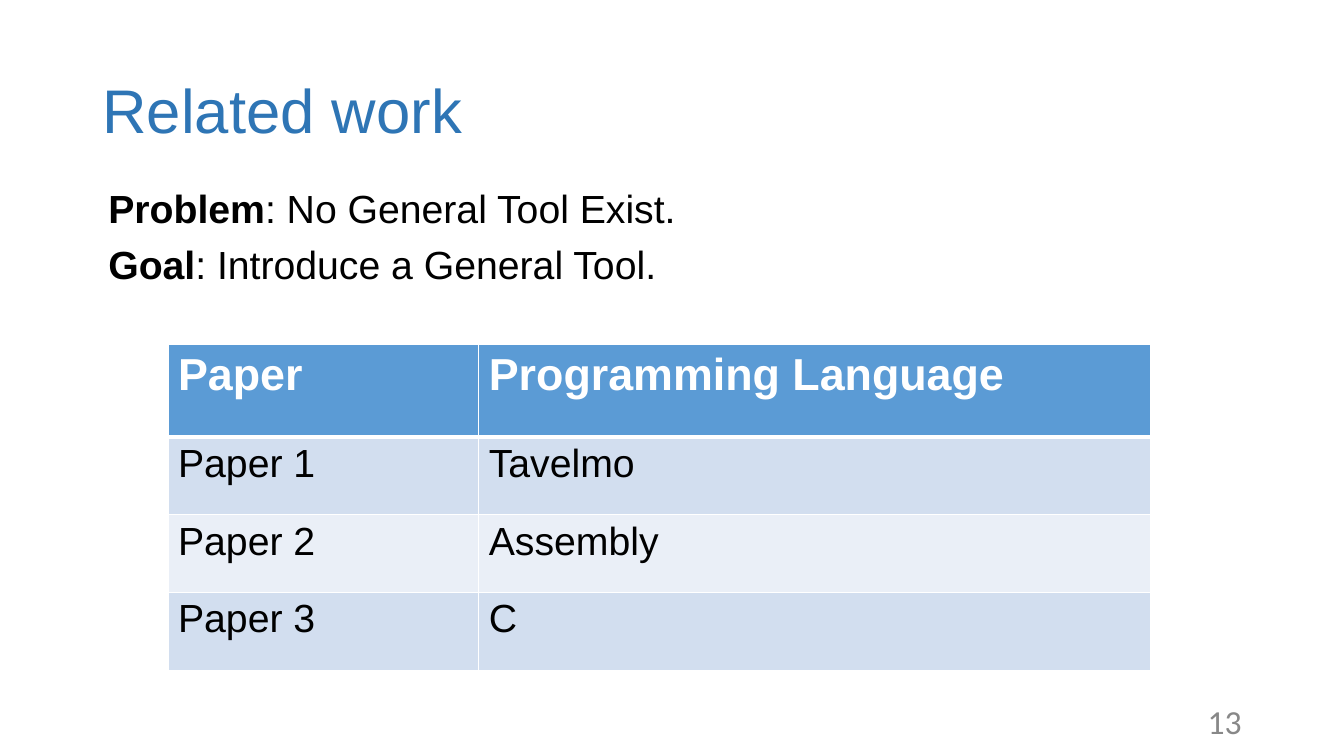
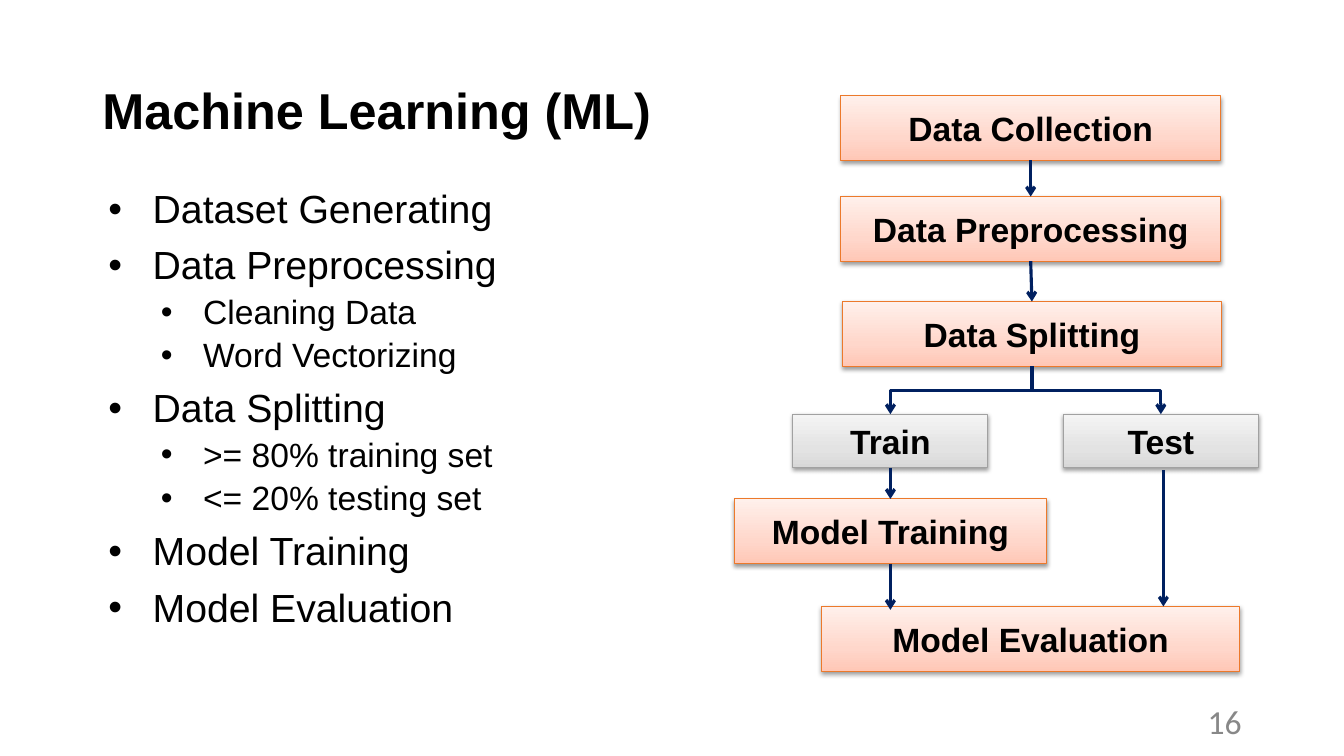
from dataclasses import dataclass

from lxml import etree
from pptx import Presentation
from pptx.dml.color import RGBColor
from pptx.enum.shapes import MSO_CONNECTOR, MSO_SHAPE
from pptx.enum.text import MSO_ANCHOR, MSO_AUTO_SIZE, PP_ALIGN
from pptx.oxml.ns import qn
from pptx.util import Inches, Pt

STRAIGHT, ELBOW = MSO_CONNECTOR.STRAIGHT, MSO_CONNECTOR.ELBOW
PROCESS = MSO_SHAPE.FLOWCHART_PROCESS
MIDDLE, TOP_ANCHOR = MSO_ANCHOR.MIDDLE, MSO_ANCHOR.TOP
LEFT, CENTER, RIGHT = PP_ALIGN.LEFT, PP_ALIGN.CENTER, PP_ALIGN.RIGHT
TOP_SIDE, BOTTOM_SIDE = 0, 2
TITLE_ONLY = 5

SLIDE_WIDTH, SLIDE_HEIGHT = Inches(13.33), Inches(7.5)
COLUMNS, ROWS = 160, 90  # square grid cells across the slide


@dataclass(frozen=True)
class BoxStyle:
    line: str
    stops: tuple  # (position in percent, colour), from bottom to top


@dataclass(frozen=True)
class Theme:
    font: str = "Arial"
    number_font: str = "Calibri"
    black: str = "000000"
    white: str = "FFFFFF"
    blue: str = "2E75B5"
    grey: str = "888888"
    arrow: str = "002060"
    header: str = "5B9BD5"
    bands: tuple = ("D2DEEF", "EAEFF7")
    title_size: int = 44
    bold_title_size: int = 36
    header_size: int = 32
    body_size: int = 28
    small_size: int = 24
    step: BoxStyle = BoxStyle(
        "EC792B", ((0, "FFC7B6"), (35, "FFD7CB"), (100, "FFF0EB")))
    dataset: BoxStyle = BoxStyle(
        "A1A1A1", ((0, "D8D8D8"), (35, "E3E3E3"), (100, "F4F4F4")))


THEME = Theme()


# Grid and text helpers
def across(columns):
    return round(SLIDE_WIDTH * columns / COLUMNS)


def down(rows):
    return round(SLIDE_HEIGHT * rows / ROWS)


def area(left, top, width, height):
    return across(left), down(top), across(width), down(height)


def add_child(parent, tag, **attributes):
    return etree.SubElement(parent, qn(tag), {k: str(v) for k, v in attributes.items()})


def add_run(paragraph, text, size, color=THEME.black, bold=False, font=THEME.font):
    run = paragraph.add_run()
    run.text = text
    run.font.name, run.font.size, run.font.bold = font, Pt(size), bold
    run.font.color.rgb = RGBColor.from_string(color)


def prepare_frame(shape, anchor):
    frame = shape.text_frame
    frame.word_wrap = True
    frame.auto_size = MSO_AUTO_SIZE.NONE
    frame.vertical_anchor = anchor
    return frame


def add_text_frame(slide, box, anchor=TOP_ANCHOR):
    return prepare_frame(slide.shapes.add_textbox(*area(*box)), anchor)


# Parts shared by the slides
def add_slide(presentation, title, number, size, color, bold=False):
    slide = presentation.slides.add_slide(presentation.slide_layouts[TITLE_ONLY])
    placeholder = slide.shapes.title
    (placeholder.left, placeholder.top,
     placeholder.width, placeholder.height) = area(11, 4.8, 138, 17.4)
    paragraph = prepare_frame(placeholder, MIDDLE).paragraphs[0]
    paragraph.alignment, paragraph.line_spacing = LEFT, 0.9
    add_run(paragraph, title, size, color, bold)

    paragraph = add_text_frame(slide, (113, 83.4, 36, 4.8), MIDDLE).paragraphs[0]
    paragraph.alignment = RIGHT
    add_run(paragraph, number, THEME.small_size, THEME.grey, font=THEME.number_font)
    return slide


def body_paragraph(frame, index, margin, indent=0, level=0):
    paragraph = frame.add_paragraph() if index else frame.paragraphs[0]
    paragraph.level, paragraph.line_spacing = level, 0.9
    paragraph.space_before = Pt(5 if level else 10)
    properties = paragraph._p.get_or_add_pPr()
    properties.set("marL", str(Inches(margin)))
    properties.set("indent", str(Inches(indent)))
    return paragraph


def add_statements(slide, box, statements):
    frame = add_text_frame(slide, box)
    for index, (label, text) in enumerate(statements):
        paragraph = body_paragraph(frame, index, 0.06)
        add_run(paragraph, label, THEME.body_size, bold=True)
        add_run(paragraph, text, THEME.body_size)


def add_bullets(slide, box, items):
    frame = add_text_frame(slide, box)
    for index, (level, text) in enumerate(items):
        margin, indent, size = ((0.5, -0.44, THEME.body_size),
                                (1, -0.42, THEME.small_size))[level]
        paragraph = body_paragraph(frame, index, margin, indent, level)
        properties = paragraph._p.get_or_add_pPr()
        add_child(properties, "a:buFont", typeface=THEME.font)
        add_child(properties, "a:buChar", char="•")
        add_run(paragraph, text, size)


# Table
def set_borders(cell, row):
    widths = {"a:lnL": 1, "a:lnR": 1,
              "a:lnT": 3 if row == 1 else 1, "a:lnB": 3 if row == 0 else 1}
    properties = cell._tc.get_or_add_tcPr()
    for tag, width in widths.items():
        line = add_child(properties, tag, w=Pt(width))
        add_child(add_child(line, "a:solidFill"), "a:srgbClr", val=THEME.white)


def add_grid_table(slide, left, top, widths, heights, content):
    table = slide.shapes.add_table(
        len(heights), len(widths),
        *area(left, top, sum(widths), sum(heights))).table
    for column, width in zip(table.columns, widths):
        column.width = across(width)
    for index, (row, height, texts) in enumerate(zip(table.rows, heights, content)):
        row.height = down(height)
        header = index == 0
        fill = THEME.header if header else THEME.bands[(index - 1) % 2]
        for cell, text in zip(row.cells, texts):
            set_borders(cell, index)
            cell.fill.solid()
            cell.fill.fore_color.rgb = RGBColor.from_string(fill)
            add_run(cell.text_frame.paragraphs[0], text,
                    THEME.header_size if header else THEME.body_size,
                    THEME.white if header else THEME.black, header)


# Flow chart
def add_box(slide, text, center, top, width, height=7.7, style=THEME.step):
    shape = slide.shapes.add_shape(
        PROCESS, *area(center - width / 2, top, width, height))
    shape.fill.gradient()
    shape.fill.gradient_angle = 90
    properties = shape._element.spPr
    stops = properties.find(".//" + qn("a:gsLst"))
    for stop in list(stops):
        stops.remove(stop)
    for position, color in style.stops:
        add_child(add_child(stops, "a:gs", pos=position * 1000), "a:srgbClr", val=color)
    shape.line.color.rgb = RGBColor.from_string(style.line)
    shape.line.width = Pt(0.75)

    # Soft shadow below the box
    shape.shadow.inherit = False
    shadow = add_child(properties.find(qn("a:effectLst")), "a:outerShdw",
                       blurRad=Pt(3.1), dist=Pt(1.6), dir=5400000, rotWithShape=0)
    add_child(add_child(shadow, "a:srgbClr", val=THEME.black), "a:alpha", val=38000)

    paragraph = prepare_frame(shape, MIDDLE).paragraphs[0]
    paragraph.alignment = CENTER
    add_run(paragraph, text, THEME.small_size, bold=True)
    return shape


def add_arrow(slide, start, end, kind=STRAIGHT):
    """Draw an arrow; each end is a box or a (column, row) point."""
    points = [(across(place[0]), down(place[1])) if isinstance(place, tuple) else (0, 0)
              for place in (start, end)]
    connector = slide.shapes.add_connector(kind, *points[0], *points[1])
    if not isinstance(start, tuple):
        connector.begin_connect(start, BOTTOM_SIDE)
    if not isinstance(end, tuple):
        connector.end_connect(end, TOP_SIDE)
    connector.line.color.rgb = RGBColor.from_string(THEME.arrow)
    connector.line.width = Pt(2.25)
    properties = connector._element.spPr
    add_child(properties.find(qn("a:ln")), "a:tailEnd", type="arrow")
    add_child(properties, "a:effectLst")
    return connector


def add_branch(slide, start, end):
    """Draw an elbow that leaves downwards, turns aside and enters downwards."""
    connector = add_arrow(slide, start, end, ELBOW)
    begin_x, begin_y = start.left + start.width // 2, start.top + start.height
    end_x, end_y = end.left + end.width // 2, end.top
    width, height = end_y - begin_y, abs(end_x - begin_x)
    connector.left = (begin_x + end_x - width) // 2
    connector.top = (begin_y + end_y - height) // 2
    connector.width, connector.height = width, height
    transform = connector._element.spPr.find(qn("a:xfrm"))
    for name in ("flipH", "flipV"):
        transform.attrib.pop(name, None)
    to_right = end_x > begin_x
    transform.set("rot", "16200000" if to_right else "5400000")
    if to_right:
        transform.set("flipH", "1")


# Slides
def build_related_work(presentation):
    slide = add_slide(presentation, "Related work", "13", THEME.title_size, THEME.blue)
    add_statements(slide, (11, 22, 138, 59), [
        ("Problem", ": No General Tool Exist."),
        ("Goal", ": Introduce a General Tool."),
    ])
    add_grid_table(slide, 20, 41, (37, 80), (11, 9.26, 9.26, 9.26), [
        ("Paper", "Programming Language"),
        ("Paper 1", "Tavelmo"),
        ("Paper 2", "Assembly"),
        ("Paper 3", "C"),
    ])


def build_machine_learning(presentation):
    slide = add_slide(presentation, "Machine Learning (ML)", "16",
                      THEME.bold_title_size, THEME.black, bold=True)
    add_bullets(slide, (11, 22, 88, 59), [
        (0, "Dataset Generating"),
        (0, "Data Preprocessing"),
        (1, "Cleaning Data"),
        (1, "Word Vectorizing"),
        (0, "Data Splitting"),
        (1, ">= 80% training set"),
        (1, "<= 20% testing set"),
        (0, "Model Training"),
        (0, "Model Evaluation"),
    ])

    middle, train_column, test_column = 122.7, 106, 138.2
    collection = add_box(slide, "Data Collection", middle, 11.4, 45.2)
    preprocessing = add_box(slide, "Data Preprocessing", middle, 23.4, 45.2)
    splitting = add_box(slide, "Data Splitting", middle + 0.15, 35.9, 45.2)
    train = add_box(slide, "Train", train_column, 49.3, 23.2, 6.4, THEME.dataset)
    test = add_box(slide, "Test", test_column, 49.3, 23.2, 6.4, THEME.dataset)
    training = add_box(slide, "Model Training", train_column, 59.4, 37.2)
    add_box(slide, "Model Evaluation", middle, 72.2, 49.8)

    for start, end in ((collection, preprocessing), (preprocessing, splitting),
                       (train, training), (training, (train_column, 72.6)),
                       ((138.5, 56), (138.5, 72.2))):
        add_arrow(slide, start, end)
    for dataset in (train, test):
        add_branch(slide, splitting, dataset)


def main():
    presentation = Presentation()
    presentation.slide_width, presentation.slide_height = SLIDE_WIDTH, SLIDE_HEIGHT
    build_related_work(presentation)
    build_machine_learning(presentation)
    presentation.save("out.pptx")


if __name__ == "__main__":
    main()
